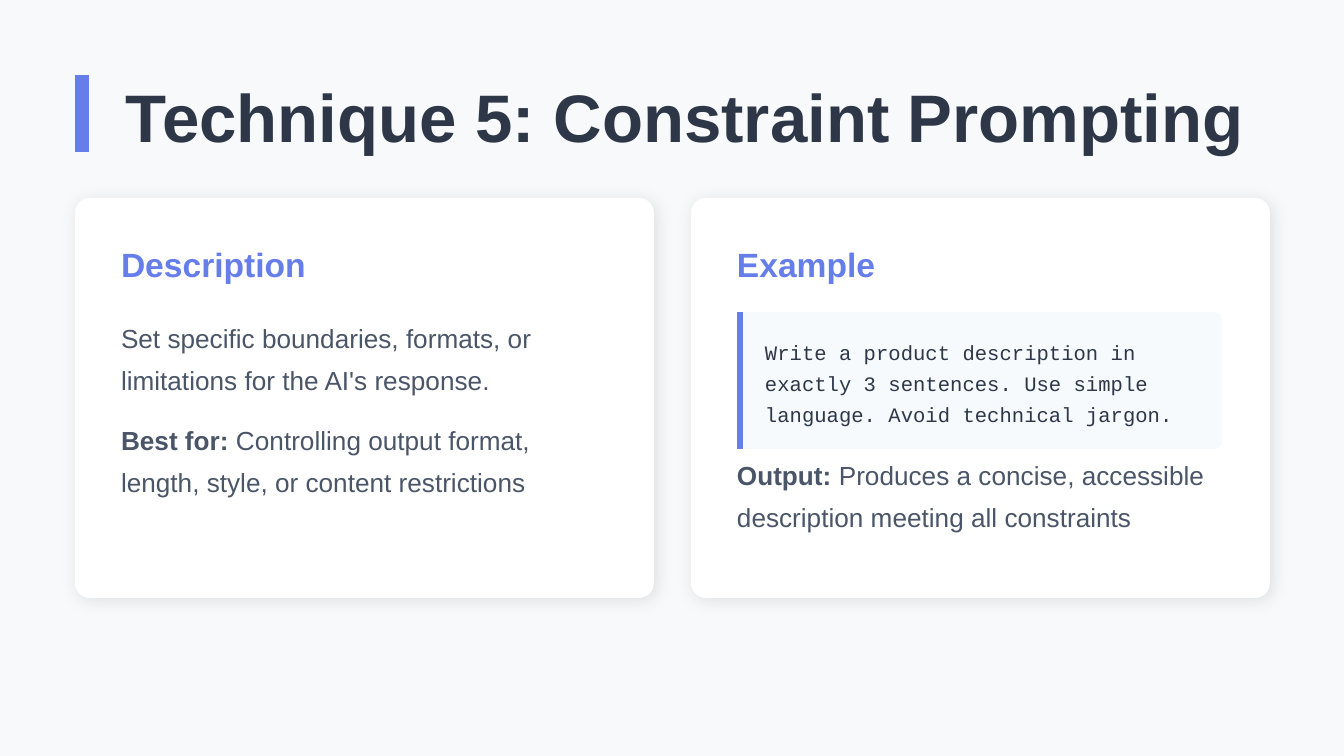
from dataclasses import dataclass

from lxml.etree import SubElement
from pptx import Presentation
from pptx.dml.color import RGBColor
from pptx.enum.shapes import MSO_CONNECTOR, MSO_SHAPE
from pptx.enum.text import MSO_ANCHOR, PP_ALIGN
from pptx.oxml.ns import qn
from pptx.util import Pt

TITLE = "Technique 5: Constraint Prompting"
PROMPT = ("Write a product description in exactly 3 sentences. "
          "Use simple language. Avoid technical jargon.")
# Each body text: top in px, then (text, bold) runs
CARDS = [
    {"heading": "Description",
     "body": [
         (312, [("Set specific boundaries, formats, or limitations "
                 "for the AI's response.", False)]),
         (414, [("Best for:", True),
                (" Controlling output format, length, style, "
                 "or content restrictions", False)]),
     ]},
    {"heading": "Example",
     "prompt": PROMPT,
     "body": [
         (449, [("Output:", True),
                (" Produces a concise, accessible description "
                 "meeting all constraints", False)]),
     ]},
]


@dataclass(frozen=True)
class Theme:
    background: str = "F8F9FA"
    card: str = "FFFFFF"
    prompt_fill: str = "F7FAFC"
    accent: str = "667EEA"
    dark: str = "2D3748"
    body: str = "4A5568"
    font: str = "Arial"
    code_font: str = "Courier New"
    title_size: int = 36
    heading_size: int = 18
    body_size: int = 14
    code_size: int = 11


THEME = Theme()
EMU_PER_PX = 914400 / 134.4
MARGIN, CARD_TOP, CARD_WIDTH, CARD_HEIGHT, CARD_GAP = 75, 198, 579, 400, 37
PADDING, TEXT_WIDTH = 46, 495
PROMPT_TOP, PROMPT_WIDTH, PROMPT_HEIGHT = 312, 485, 137


def px(length):
    return round(length * EMU_PER_PX)


def color(value):
    return RGBColor.from_string(value)


def place(shape, left, top, width, height):
    shape.left, shape.top = px(left), px(top)
    shape.width, shape.height = px(width), px(height)


def fill_text(shape, runs, size, text_color, font=THEME.font,
              line_spacing=None, space_after=0):
    """Write (text, bold) runs into one paragraph without insets."""
    frame = shape.text_frame
    frame.word_wrap = True
    frame.vertical_anchor = MSO_ANCHOR.TOP
    frame.margin_left = frame.margin_right = 0
    frame.margin_top = frame.margin_bottom = 0
    paragraph = frame.paragraphs[0]
    paragraph.alignment = PP_ALIGN.LEFT
    paragraph.space_before = Pt(0)
    paragraph.space_after = Pt(space_after)
    if line_spacing:
        paragraph.line_spacing = Pt(line_spacing)
    for text, bold in runs:
        run = paragraph.add_run()
        run.text = text
        run.font.name = font
        run.font.size = Pt(size)
        run.font.bold = bold
        run.font.color.rgb = color(text_color)


def add_text(slide, box, *args, **options):
    shape = slide.shapes.add_textbox(*map(px, box))
    fill_text(shape, *args, **options)


def add_panel(slide, box, fill, radius):
    shape = slide.shapes.add_shape(MSO_SHAPE.ROUNDED_RECTANGLE, *map(px, box))
    shape.adjustments[0] = radius
    shape.shadow.inherit = False
    shape.fill.solid()
    shape.fill.fore_color.rgb = color(fill)
    shape.line.fill.background()
    return shape


def add_soft_shadow(shape):
    effects = shape.element.spPr.find(qn("a:effectLst"))
    shadow = SubElement(effects, qn("a:outerShdw"), blurRad=str(Pt(9)),
                        dist=str(Pt(2.1)), dir=str(45 * 60000),
                        algn="bl", rotWithShape="0")
    shade = SubElement(shadow, qn("a:srgbClr"), val="000000")
    SubElement(shade, qn("a:alpha"), val="10000")


def add_accent_bar(slide, x, top, height, width):
    bar = slide.shapes.add_connector(
        MSO_CONNECTOR.STRAIGHT, px(x), px(top), px(x), px(top + height))
    bar.line.color.rgb = color(THEME.accent)
    bar.line.width = Pt(width)
    SubElement(bar.element.spPr, qn("a:effectLst"))


def add_prompt(slide, left, text):
    add_panel(slide, (left, PROMPT_TOP, PROMPT_WIDTH, PROMPT_HEIGHT),
              THEME.prompt_fill, 0.054)
    add_accent_bar(slide, left + 3, PROMPT_TOP, PROMPT_HEIGHT, 3)
    add_text(slide, (left + 28, PROMPT_TOP + 22, 443, 93), [(text, False)],
             THEME.code_size, THEME.dark, THEME.code_font, line_spacing=16.5)


def add_card(slide, left, card):
    panel = add_panel(slide, (left, CARD_TOP, CARD_WIDTH, CARD_HEIGHT),
                      THEME.card, 0.037)
    add_soft_shadow(panel)
    text_left = left + PADDING
    add_text(slide, (text_left, CARD_TOP + PADDING, TEXT_WIDTH, 39),
             [(card["heading"], True)], THEME.heading_size, THEME.accent,
             space_after=15)
    if "prompt" in card:
        add_prompt(slide, text_left, card["prompt"])
    for top, runs in card["body"]:
        add_text(slide, (text_left, top, TEXT_WIDTH, 83), runs,
                 THEME.body_size, THEME.body, line_spacing=22.4,
                 space_after=10)


def main():
    presentation = Presentation()
    presentation.slide_width, presentation.slide_height = px(1344), px(756)
    slide = presentation.slides.add_slide(presentation.slide_layouts[5])
    slide.background.fill.solid()
    slide.background.fill.fore_color.rgb = color(THEME.background)

    add_accent_bar(slide, 82, 75, 77, 7.5)
    title = slide.shapes.title
    place(title, 126, 75, 1167, 77)
    fill_text(title, [(TITLE, True)], THEME.title_size, THEME.dark)

    for index, card in enumerate(CARDS):
        add_card(slide, MARGIN + index * (CARD_WIDTH + CARD_GAP), card)
    presentation.save("out.pptx")


if __name__ == "__main__":
    main()
